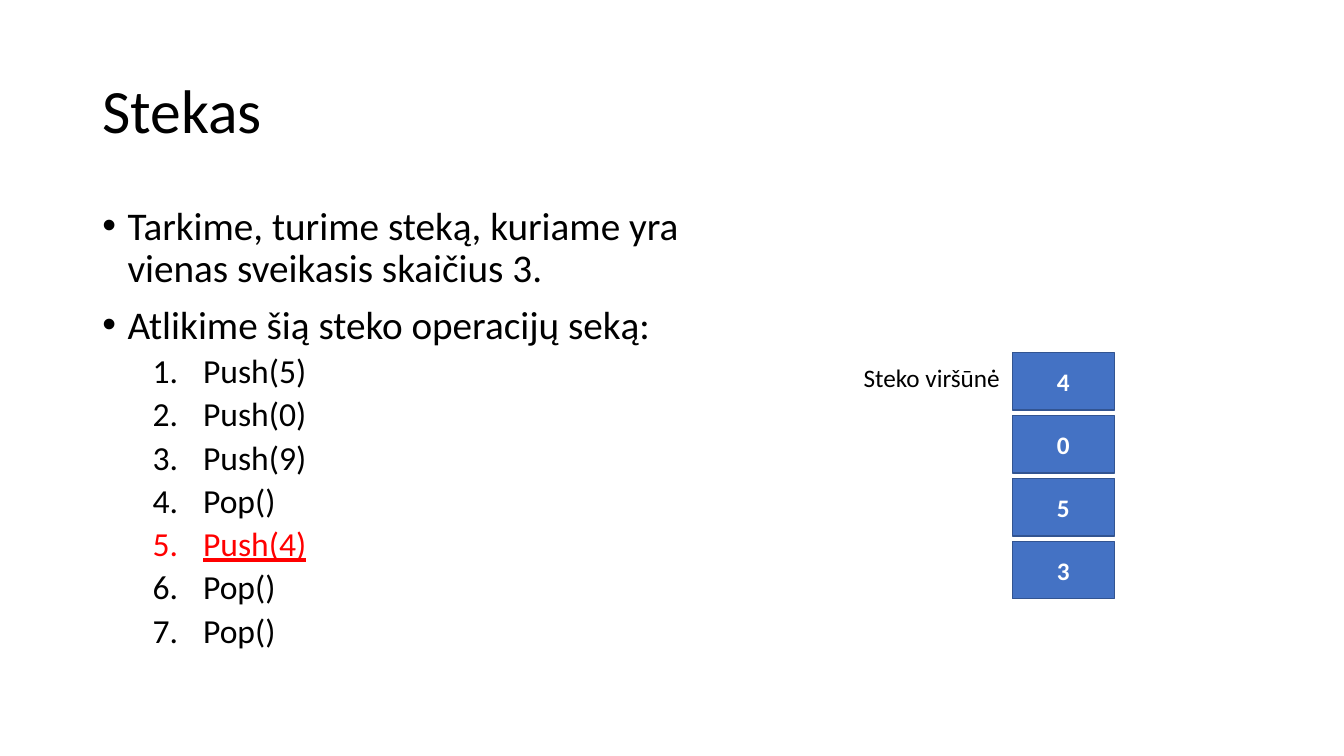
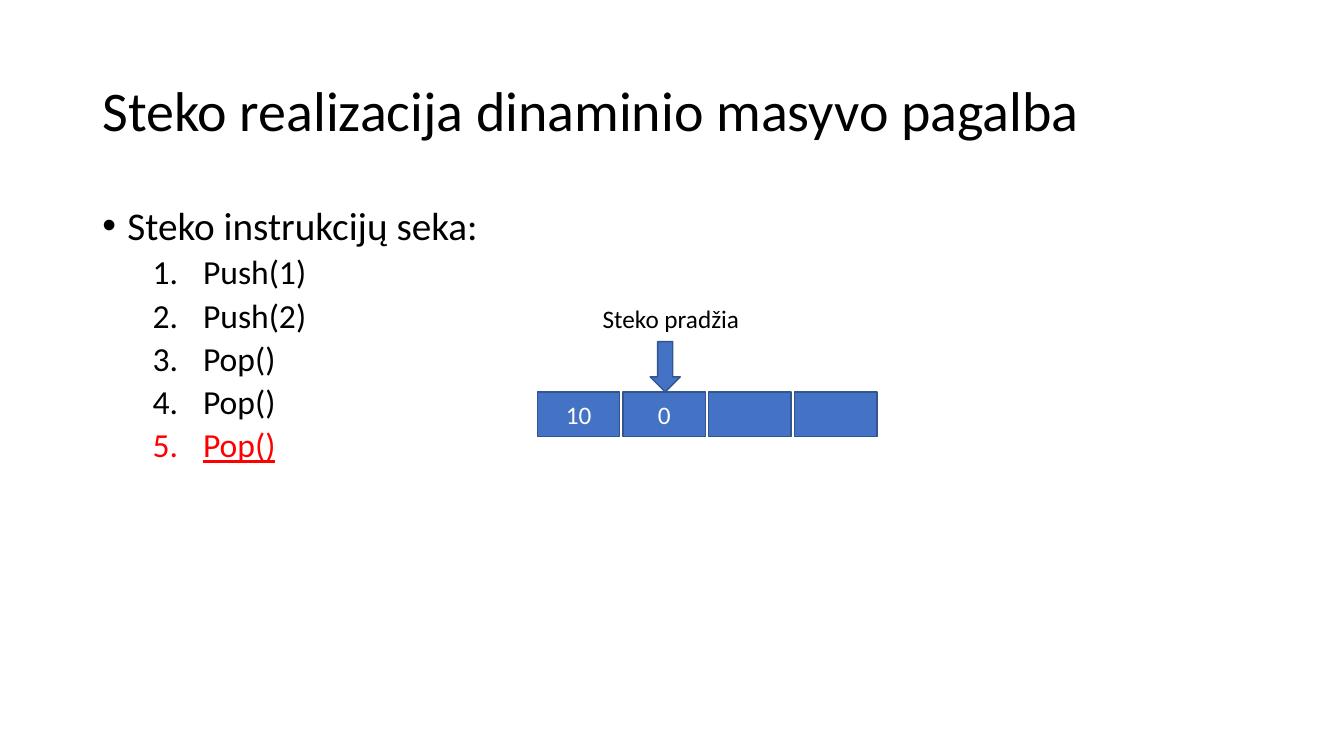
from dataclasses import dataclass

from lxml import etree
from pptx import Presentation
from pptx.dml.color import RGBColor
from pptx.enum import shapes, text
from pptx.oxml.ns import qn
from pptx.util import Pt


@dataclass(frozen=True)
class Theme:
    font: str = "Calibri"
    ink: RGBColor = RGBColor(0x00, 0x00, 0x00)
    accent: RGBColor = RGBColor(0xFF, 0x00, 0x00)
    cell: RGBColor = RGBColor(0x44, 0x72, 0xC4)
    edge: RGBColor = RGBColor(0x32, 0x54, 0x91)
    cell_text: RGBColor = RGBColor(0xFF, 0xFF, 0xFF)
    point_size: int = 28
    step_size: int = 24
    label_size: int = 18
    line_spacing: float = 0.9


THEME = Theme()
SLIDE_SIZE = (960, 540)
TITLE_BOX = (66, 28.75, 828, 104.4)

# Boxes are left, top, width, height in points; "current" is the step in red.
STACK = {
    "title": "Stekas",
    "title_size": 44,
    "body_box": (66, 144, 495, 351),
    "points": [
        "Tarkime, turime steką, kuriame yra vienas sveikasis skaičius 3.",
        "Atlikime šią steko operacijų seką:",
    ],
    "steps": ["Push(5)", "Push(0)", "Push(9)", "Pop()", "Push(4)", "Pop()", "Pop()"],
    "current": 5,
    "cells": ["4", "0", "5", "3"],
    "first_cell": (723, 252, 73, 41),
    "pitch": (0, 44.9),
    "bold_cells": True,
    "label": "Steko viršūnė",
    "label_box": (609.8, 255.4, 121, 29),
}
ARRAY = {
    "title": "Steko realizacija dinaminio masyvo pagalba",
    "title_size": 40,
    "body_box": (66, 144, 285, 284),
    "points": ["Steko instrukcijų seka:"],
    "steps": ["Push(1)", "Push(2)", "Pop()", "Pop()", "Pop()"],
    "current": 5,
    "cells": ["10", "0", "", ""],
    "first_cell": (383.75, 280, 59, 31.7),
    "pitch": (61.2, 0),
    "bold_cells": False,
    "label": "Steko pradžia",
    "label_box": (423.4, 213, 115, 29),
    "arrow_box": (464.4, 244, 21.6, 36),
}


def points(box):
    return [Pt(length) for length in box]


def style(paragraph, size, color=THEME.ink, bold=False):
    font = paragraph.font
    font.name, font.size, font.bold = THEME.font, Pt(size), bold
    font.color.rgb = color


def set_bullet(paragraph, margin, hanging, tag, **attributes):
    properties = paragraph._p.get_or_add_pPr()
    properties.set("marL", str(Pt(margin)))
    properties.set("indent", str(-Pt(hanging)))
    typeface = "Arial" if tag == "a:buChar" else "+mj-lt"
    etree.SubElement(properties, qn("a:buFont"), typeface=typeface)
    etree.SubElement(properties, qn(tag), **attributes)


def add_title(slide, words, size):
    title = slide.shapes.title
    title.left, title.top, title.width, title.height = points(TITLE_BOX)
    frame = title.text_frame
    frame.text = words
    frame.auto_size = text.MSO_AUTO_SIZE.NONE
    frame.vertical_anchor = text.MSO_ANCHOR.MIDDLE
    heading = frame.paragraphs[0]
    heading.alignment = text.PP_ALIGN.LEFT
    heading.line_spacing = THEME.line_spacing
    style(heading, size)


def add_text_box(slide, box, lines):
    frame = slide.shapes.add_textbox(*points(box)).text_frame
    frame.word_wrap = True
    frame.text = "\n".join(lines)
    return frame.paragraphs


def add_body(slide, content):
    point_count = len(content["points"])
    lines = add_text_box(slide, content["body_box"], content["points"] + content["steps"])
    for number, line in enumerate(lines, 1 - point_count):
        is_step = number > 0
        line.line_spacing = THEME.line_spacing
        line.space_before = Pt(5 if is_step else 10)
        if is_step:
            line.level = 1
            set_bullet(line, 72, 36, "a:buAutoNum", type="arabicPeriod")
        else:
            set_bullet(line, 18, 18, "a:buChar", char="•")
        style(line, THEME.step_size if is_step else THEME.point_size)
        if number == content["current"]:
            current_font = line.runs[0].font
            current_font.color.rgb = THEME.accent
            current_font.underline = True


def add_block(slide, kind, box):
    block = slide.shapes.add_shape(kind, *points(box))
    block.shadow.inherit = False
    block.fill.solid()
    block.fill.fore_color.rgb = THEME.cell
    block.line.color.rgb = THEME.edge
    block.line.width = Pt(1)
    return block


def add_cells(slide, content):
    left, top, width, height = content["first_cell"]
    step_x, step_y = content["pitch"]
    for index, value in enumerate(content["cells"]):
        box = (left + index * step_x, top + index * step_y, width, height)
        cell = add_block(slide, shapes.MSO_SHAPE.RECTANGLE, box)
        if value:
            frame = cell.text_frame
            frame.text = value
            frame.vertical_anchor = text.MSO_ANCHOR.MIDDLE
            frame.paragraphs[0].alignment = text.PP_ALIGN.CENTER
            style(frame.paragraphs[0], THEME.label_size, THEME.cell_text, content["bold_cells"])


def add_slide(deck, content):
    slide = deck.slides.add_slide(deck.slide_layouts.get_by_name("Title Only"))
    add_title(slide, content["title"], content["title_size"])
    add_body(slide, content)
    add_cells(slide, content)
    if "arrow_box" in content:
        add_block(slide, shapes.MSO_SHAPE.DOWN_ARROW, content["arrow_box"])
    label = add_text_box(slide, content["label_box"], [content["label"]])[0]
    style(label, THEME.label_size)


def main():
    deck = Presentation()
    deck.slide_width, deck.slide_height = points(SLIDE_SIZE)
    for content in (STACK, ARRAY):
        add_slide(deck, content)
    deck.save("out.pptx")


if __name__ == "__main__":
    main()
